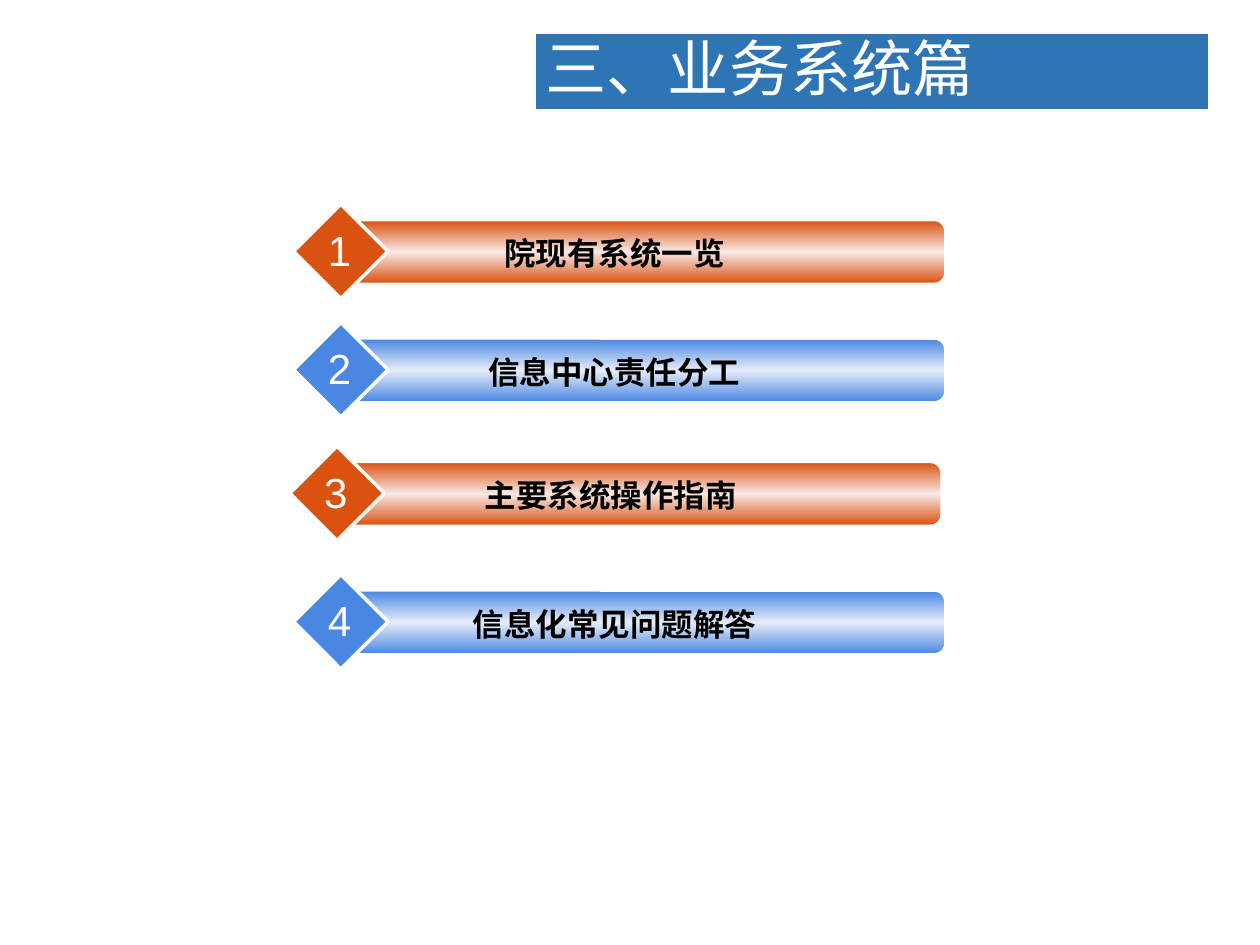
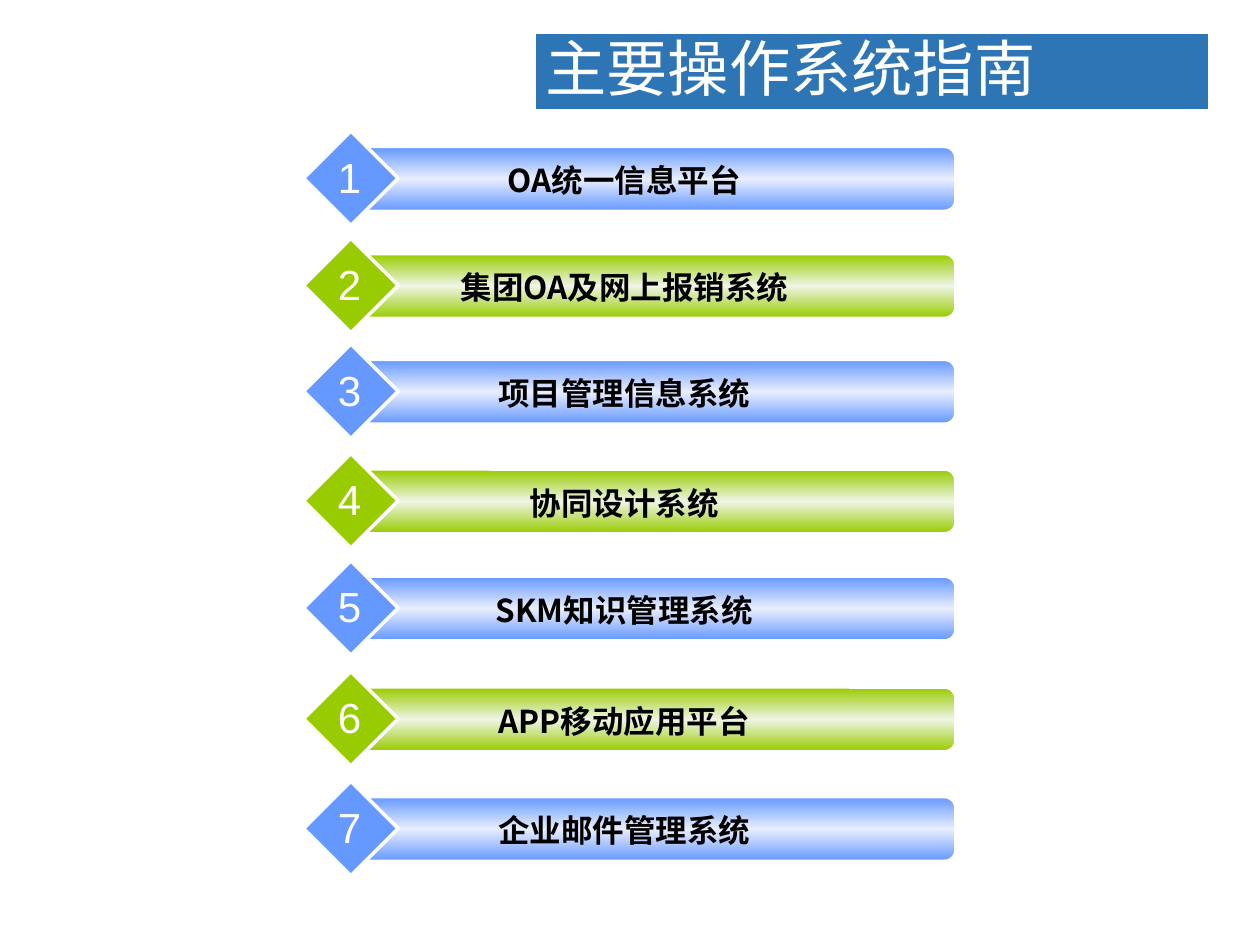
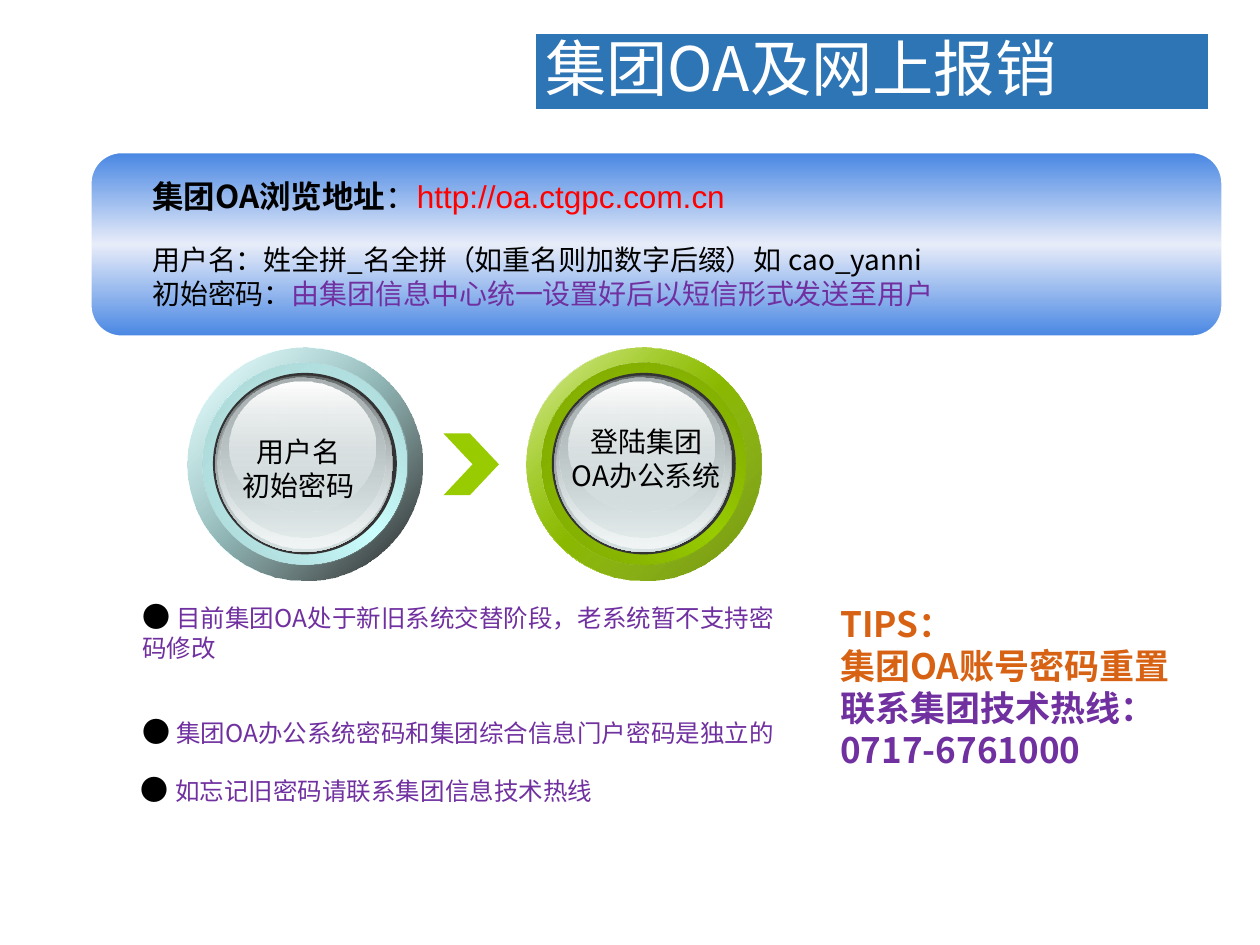
from pptx import Presentation
from pptx.dml.color import RGBColor
from pptx.enum.shapes import MSO_SHAPE
from pptx.enum.text import MSO_ANCHOR, MSO_AUTO_SIZE, PP_ALIGN
from pptx.oxml import parse_xml
from pptx.oxml.ns import nsdecls
from pptx.util import Inches, Pt

SC, JP, ARIAL = "Noto Sans CJK SC", "Noto Sans CJK JP", "Arial"

WHITE = RGBColor(0xFF, 0xFF, 0xFF)
BLACK = RGBColor(0, 0, 0)
TITLE_BLUE = RGBColor(0x2E, 0x75, 0xB6)
ORANGE, ORANGE_PALE = RGBColor(0xD9, 0x52, 0x0F), RGBColor(0xF8, 0xE8, 0xE6)
BLUE, BLUE_PALE = RGBColor(0x49, 0x87, 0xE3), RGBColor(0xE7, 0xEC, 0xF9)
SKY, SKY_PALE = RGBColor(0x66, 0x99, 0xFF), RGBColor(0xE9, 0xEE, 0xFF)
GREEN, GREEN_PALE = RGBColor(0x99, 0xCC, 0x00), RGBColor(0xEE, 0xF5, 0xE6)
AQUA = RGBColor(0xCC, 0xFF, 0xFF)
AQUA_MID, AQUA_LIGHT = RGBColor(0x9C, 0xC3, 0xC3), RGBColor(0xA7, 0xD1, 0xD1)
GREEN_DARK = RGBColor(0x6D, 0x92, 0x00)
GREEN_MID, GREEN_LIGHT = RGBColor(0x75, 0x9C, 0x00), RGBColor(0x7E, 0xA7, 0x00)
CHARCOAL = RGBColor(0x33, 0x33, 0x33)
STEEL, SILVER = RGBColor(0x63, 0x68, 0x69), RGBColor(0xAA, 0xB2, 0xB3)
MIST, FROST = RGBColor(0xD6, 0xE1, 0xE2), RGBColor(0xF1, 0xF5, 0xF5)
RED = RGBColor(0xFF, 0, 0)
PURPLE = RGBColor(0x70, 0x30, 0xA0)
TIP_ORANGE = RGBColor(0xD7, 0x62, 0x13)

# Content: agenda rows are (label, bar left, bar top)
AGENDAS = [
    ("三、业务系统篇", [(ORANGE, ORANGE_PALE), (BLUE, BLUE_PALE)], [
        ("院现有系统一览", 2.75, 1.75),
        ("信息中心责任分工", 2.75, 2.69),
        ("主要系统操作指南", 2.72, 3.67),
        ("信息化常见问题解答", 2.75, 4.69)]),
    ("主要操作系统指南", [(SKY, SKY_PALE), (GREEN, GREEN_PALE)], [
        ("OA统一信息平台", 2.83, 1.17),
        ("集团OA及网上报销系统", 2.83, 2.02),
        ("项目管理信息系统", 2.83, 2.86),
        ("协同设计系统", 2.83, 3.73),
        ("SKM知识管理系统", 2.83, 4.58),
        ("APP移动应用平台", 2.83, 5.46),
        ("企业邮件管理系统", 2.83, 6.33)]),
]

# Runs are (text, size, colour, font, bold); a paragraph is a list of runs
LOGIN_TITLE = "集团OA及网上报销"
ADDRESS = [[("集团OA浏览地址", 18, BLACK, SC, True), ("：", 18, BLACK, ARIAL),
            ("http://oa.ctgpc.com.cn", 18, RED, ARIAL)]]
ACCOUNT = [
    [("用户名：姓全拼_名全拼（如重名则加数字后缀）如 cao_yanni", 16, BLACK, JP)],
    [("初始密码：", 16, BLACK, JP),
     ("由集团信息中心统一设置好后以短信形式发送至用户", 16, PURPLE, JP)]]
STEPS = [
    ((1.82, 3.4, 1.1, 0.64), ["用户名", "初始密码"], False),
    ((3.68, 3.32, 2.9, 0.64), ["登陆集团", "OA办公系统"], True)]
NOTES = [
    ((1.03, 4.71, 5.29, 0.61), "目前集团OA处于新旧系统交替阶段，老系统暂不支持密码修改"),
    ((1.03, 5.62, 6.93, 0.37), "集团OA办公系统密码和集团综合信息门户密码是独立的"),
    ((1.02, 6.08, 5.62, 0.37), "如忘记旧密码请联系集团信息技术热线")]
TIPS = [("TIPS：", TIP_ORANGE), ("集团OA账号密码重置", TIP_ORANGE),
        ("联系集团技术热线：", PURPLE), ("0717-6761000", PURPLE)]

# Ring buttons: left edge, main colour, shade stop, mid tone, light tone
BUTTONS = [
    (1.49, AQUA, (BLACK, 90), AQUA_MID, AQUA_LIGHT),
    (4.18, GREEN, (GREEN_DARK, 100), GREEN_MID, GREEN_LIGHT)]
BUTTON_TOP = 2.76

prs = Presentation()
prs.slide_width, prs.slide_height = Inches(10), Inches(7.5)


def set_gradient(sp, stops, angle):
    """Stops are (colour, opacity percent), evenly spread."""
    sp.fill.gradient()
    gs = "".join(
        f'<a:gs pos="{i * 100000 // (len(stops) - 1)}"><a:srgbClr val="{color}">'
        f'<a:alpha val="{alpha * 1000}"/></a:srgbClr></a:gs>'
        for i, (color, alpha) in enumerate(stops))
    grad = sp._element.xpath("./p:spPr/a:gradFill")[0]
    grad.getparent().replace(grad, parse_xml(
        f'<a:gradFill {nsdecls("a")} rotWithShape="1"><a:gsLst>{gs}</a:gsLst>'
        f'<a:lin ang="{angle * 60000}" scaled="0"/></a:gradFill>'))


def add_shape(s, kind, box, fill, angle=90, line=0):
    sp = s.shapes.add_shape(kind, *map(Inches, box))
    sp.shadow.inherit = False
    if isinstance(fill, list):
        set_gradient(sp, fill, angle)
    else:
        sp.fill.solid()
        sp.fill.fore_color.rgb = fill
    if line:
        sp.line.color.rgb = WHITE
        sp.line.width = Pt(line)
    else:
        sp.line.fill.background()
    return sp


def add_run(p, text, size, color, font, bold=False):
    r = p.add_run()
    r.text = text
    r.font.size, r.font.bold, r.font.name = Pt(size), bold, font
    r.font.color.rgb = color
    east_asian = SC if font == ARIAL else font
    r.font._element.find("{*}latin").addnext(
        parse_xml(f'<a:ea {nsdecls("a")} typeface="{east_asian}"/>'))


def add_text(s, box, paragraphs, align=PP_ALIGN.LEFT, wrap=True):
    tf = s.shapes.add_textbox(*map(Inches, box)).text_frame
    tf.word_wrap = wrap
    tf.auto_size = MSO_AUTO_SIZE.SHAPE_TO_FIT_TEXT
    for i, runs in enumerate(paragraphs):
        p = tf.add_paragraph() if i else tf.paragraphs[0]
        p.alignment = align
        for run in runs:
            add_run(p, *run)


def band(color, pale):
    return [(color, 100), (pale, 100), (color, 100)]


def add_slide(title):
    s = prs.slides.add_slide(prs.slide_layouts[6])
    sp = add_shape(s, MSO_SHAPE.RECTANGLE, (4.23, 0.25, 5.38, 0.64), TITLE_BLUE, line=3)
    tf = sp.text_frame
    tf.word_wrap = True
    tf.vertical_anchor = MSO_ANCHOR.MIDDLE
    p = tf.paragraphs[0]
    p.alignment = PP_ALIGN.LEFT
    p.line_spacing = 0.9
    add_run(p, title, 35, WHITE, SC)
    return s


def add_agenda_row(s, number, label, x, y, color, pale):
    add_shape(s, MSO_SHAPE.ROUNDED_RECTANGLE, (x, y, 4.75, 0.5), band(color, pale), line=1)
    add_shape(s, MSO_SHAPE.DIAMOND, (x - 0.42, y - 0.13, 0.75, 0.75), color, line=2)
    add_text(s, (x + 0.25, y + 0.06, 3.75, 0.4), [[(label, 18, BLACK, SC, True)]],
             PP_ALIGN.CENTER)
    add_text(s, (x - 0.25, y - 0.02, 0.39, 0.5), [[(str(number), 24, WHITE, ARIAL)]],
             PP_ALIGN.CENTER, wrap=False)


def add_button(s, x, main, shade, mid, light):
    layers = [  # inset x, inset y, width, height, fill, angle
        (0, 0, 1.86, 1.85, band(WHITE, main), 45),
        (0, 0, 1.86, 1.85, [(main, 32), shade], 45),
        (0.12, 0.12, 1.62, 1.6, band(mid, main), 315),
        (0.12, 0.12, 1.62, 1.6, [(light, 100), (main, 0)], 45),
        (0.2, 0.2, 1.46, 1.44, CHARCOAL, 0),
        (0.22, 0.22, 1.41, 1.4, [(STEEL, 100), (MIST, 100)], 90),
        (0.24, 0.23, 1.38, 1.36, [(MIST, 0), (FROST, 100)], 90),
        (0.26, 0.24, 1.31, 1.27, [(SILVER, 100), (MIST, 48)], 90),
        (0.33, 0.27, 1.16, 1.03, [(WHITE, 100), (MIST, 38)], 90)]
    for dx, dy, w, h, fill, angle in layers:
        add_shape(s, MSO_SHAPE.OVAL, (x + dx, BUTTON_TOP + dy, w, h), fill, angle)


# Agenda slides
for title, palette, rows in AGENDAS:
    s = add_slide(title)
    for i, (label, x, y) in enumerate(rows):
        add_agenda_row(s, i + 1, label, x, y, *palette[i % len(palette)])

# Login slide: address panel
s = add_slide(LOGIN_TITLE)
add_shape(s, MSO_SHAPE.ROUNDED_RECTANGLE, (0.72, 1.21, 8.98, 1.46),
          band(BLUE, BLUE_PALE), line=1)
add_text(s, (1.11, 1.36, 7.95, 0.4), ADDRESS)
add_text(s, (1.11, 1.88, 7.91, 0.64), ACCOUNT)

# Login steps
chevron = add_shape(s, MSO_SHAPE.CHEVRON, (3.52, 3.44, 0.44, 0.49), GREEN)
chevron.adjustments[0] = 0.525
for button in BUTTONS:
    add_button(s, *button)
for box, lines, wrap in STEPS:
    add_text(s, box, [[(line, 16, BLACK, SC)] for line in lines], PP_ALIGN.CENTER, wrap)

# Notes and tips
for box, note in NOTES:
    add_text(s, box, [[("● ", 16, BLACK, SC), (note, 14, PURPLE, SC)]])
add_text(s, (6.57, 4.73, 3.12, 1.45),
         [[(line, 20, color, JP, True)] for line, color in TIPS])

prs.save("out.pptx")
